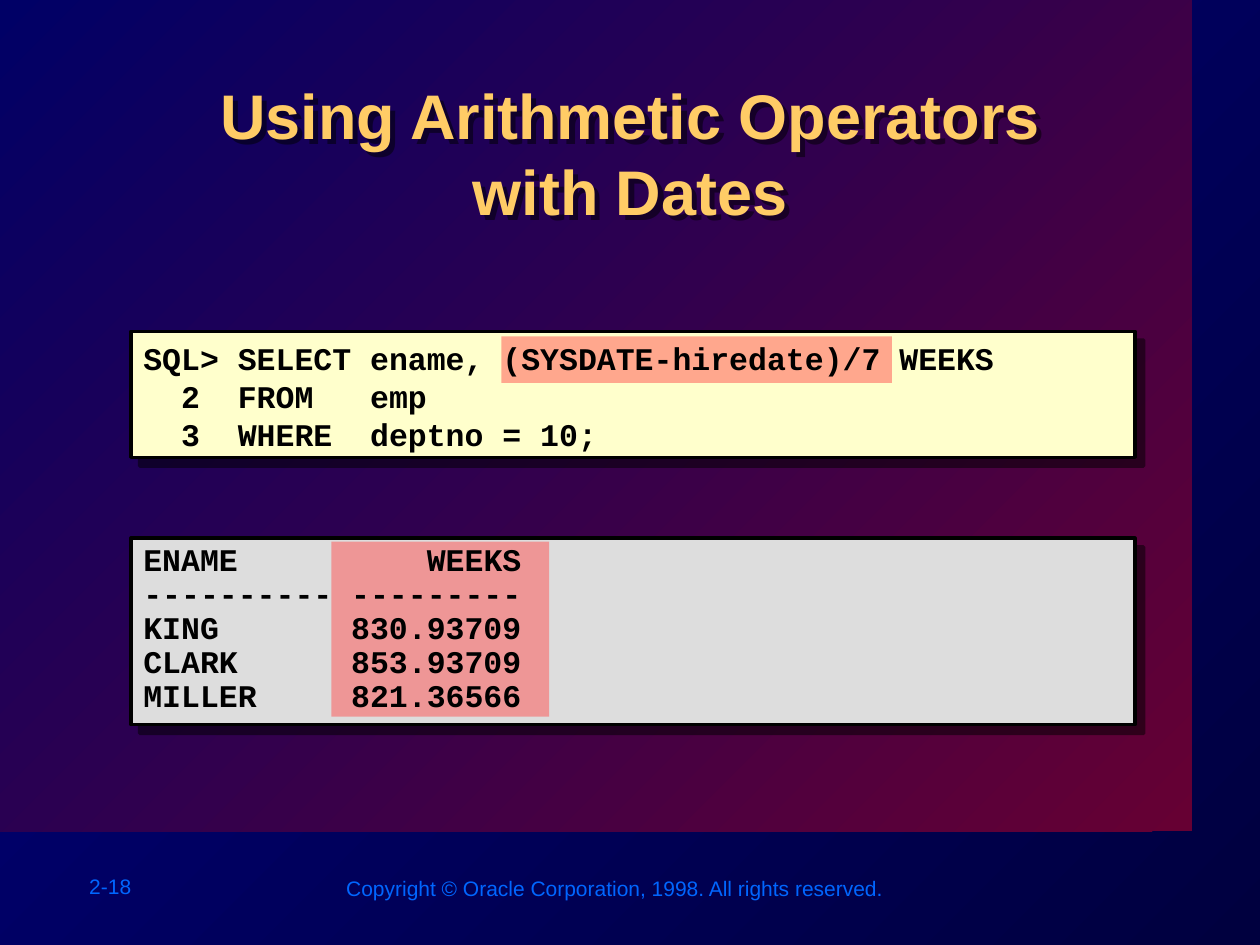
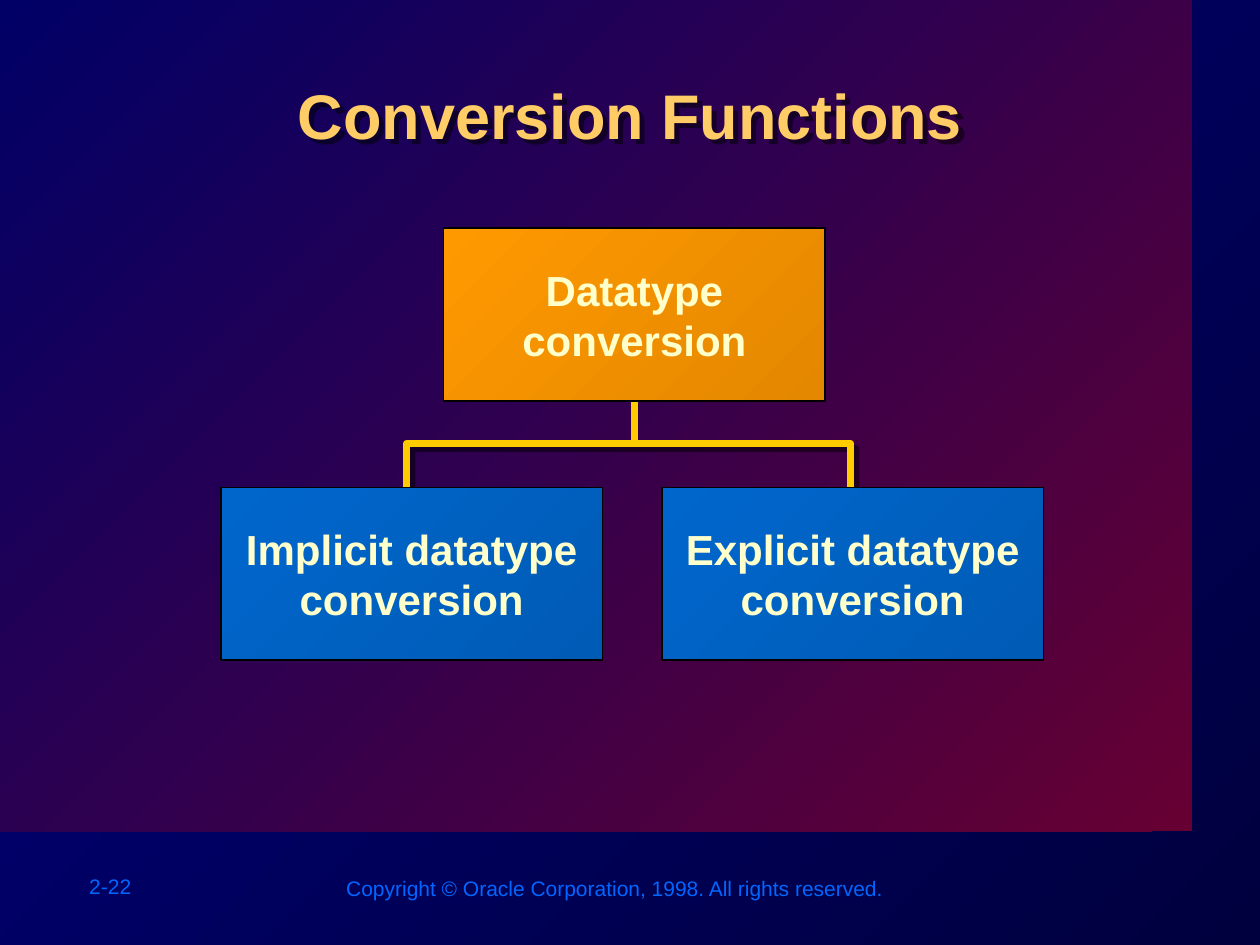
from lxml.etree import SubElement
from pptx import Presentation
from pptx.dml.color import RGBColor
from pptx.enum.shapes import MSO_CONNECTOR, MSO_SHAPE
from pptx.enum.text import MSO_ANCHOR, PP_ALIGN
from pptx.oxml.ns import qn
from pptx.util import Cm, Pt

COLOURS = {
    "black": "000000", "footer": "0066FF", "title": "FFCC66",
    "back_dark": "00003F", "back_light": "000080",
    "panel_red": "660033", "panel_blue": "000066",
    "code": "FFFFCC", "result": "DDDDDD", "highlight": "FF5050",
    "blue_dark": "005BB6", "blue": "0066CC",
    "orange_dark": "E48800", "orange": "FF9900",
    "label": "FFFFCC", "branch": "FFCC00",
}

# Text formats: font values for every span of a box
FOOTER = {"name": "Arial", "size": Pt(12), "colour": "footer"}
TITLE = {"name": "Arial", "size": Pt(36), "bold": True, "colour": "title"}
LABEL = {"name": "Arial", "size": Pt(24), "bold": True, "colour": "label"}
CODE = {"name": "Courier New", "size": Pt(18), "bold": True, "colour": "black"}

COPYRIGHT = "Copyright © Oracle Corporation, 1998. All rights reserved."
BOX_WIDTH, BOX_HEIGHT = 7.7, 3.48
LISTING_LEFT, LISTING_WIDTH = 2.64, 20.24


def rgb(name):
    return RGBColor.from_string(COLOURS[name])


def paint_gradient(fill, start, end):
    """Diagonal gradient from the bottom right to the top left."""
    fill.gradient()
    fill.gradient_angle = 135
    for stop, name in zip(fill.gradient_stops, (start, end)):
        stop.color.rgb = rgb(name)


def add_alpha(colour_element, percent):
    SubElement(colour_element, qn("a:alpha"), val=str(percent * 1000))


def add_shadow(shape, distance):
    shape.shadow.inherit = False
    effects = shape._element.spPr.find(qn("a:effectLst"))
    shadow = SubElement(effects, qn("a:outerShdw"), dist=str(Pt(distance)),
                        dir="2700000", algn="ctr", rotWithShape="0")
    colour = SubElement(shadow, qn("a:srgbClr"), val=COLOURS["black"])
    add_alpha(colour, 50)


def set_line(shape, name, width):
    shape.line.color.rgb = rgb(name)
    shape.line.width = Pt(width)


def add_rectangle(page, area, fill, border=0, shadow=0, alpha=100):
    """Rectangle filled with one colour name or a pair for a gradient."""
    box = page.shapes.add_shape(MSO_SHAPE.RECTANGLE, *map(Cm, area))
    box.shadow.inherit = False
    if isinstance(fill, tuple):
        paint_gradient(box.fill, *fill)
    else:
        box.fill.solid()
        box.fill.fore_color.rgb = rgb(fill)
    if alpha < 100:
        add_alpha(box._element.spPr.find(qn("a:solidFill"))[0], alpha)
    if border:
        set_line(box, "black", border)
    else:
        box.line.fill.background()
    if shadow:
        add_shadow(box, shadow)
    return box


def write(box, lines, style, align=PP_ALIGN.LEFT, anchor=MSO_ANCHOR.TOP,
          spacing=1.0, wrap=True, right_tab=None):
    frame = box.text_frame
    frame.word_wrap = wrap
    frame.vertical_anchor = anchor
    for index, line in enumerate(lines):
        paragraph = frame.paragraphs[0] if index == 0 else frame.add_paragraph()
        paragraph.text = line
        paragraph.alignment = align
        paragraph.line_spacing = spacing
        if right_tab:
            tabs = SubElement(paragraph._p.get_or_add_pPr(), qn("a:tabLst"))
            SubElement(tabs, qn("a:tab"), pos=str(Cm(right_tab)), algn="r")
        for span in paragraph.runs:
            for attribute, value in style.items():
                if attribute == "colour":
                    span.font.color.rgb = rgb(value)
                else:
                    setattr(span.font, attribute, value)


def add_text(page, area, lines, style, **layout):
    box = page.shapes.add_textbox(*map(Cm, area))
    write(box, lines, style, **layout)
    return box


def add_page(deck, title, number):
    """Blank page with the shared background, panel, footers and title."""
    page = deck.slides.add_slide(deck.slide_layouts[6])
    paint_gradient(page.background.fill, "back_dark", "back_light")
    add_rectangle(page, (0, 0, 24.03, 16.76), ("panel_red", "panel_blue"))
    add_text(page, (1.55, 17.48, 2.82, 0.76), [number], FOOTER)
    add_text(page, (6.73, 17.53, 11.38, 0.76), [COPYRIGHT], FOOTER, wrap=False)
    heading = add_text(page, (2.57, 1.42, 20.27, 2.44), [title], TITLE,
                       align=PP_ALIGN.CENTER)
    add_shadow(heading, 4.2)
    return page


def add_listing_panel(page, top, height, fill):
    add_rectangle(page, (LISTING_LEFT, top, LISTING_WIDTH, height), fill,
                  border=2, shadow=7.1)


def add_highlight(page, *area):
    add_rectangle(page, area, "highlight", alpha=50)


def add_label_box(page, left, top, lines, fill):
    box = add_rectangle(page, (left, top, BOX_WIDTH, BOX_HEIGHT), fill, border=1)
    write(box, lines, LABEL, align=PP_ALIGN.CENTER, anchor=MSO_ANCHOR.MIDDLE)


def add_trunk(page, x, top, bottom):
    trunk = page.shapes.add_connector(
        MSO_CONNECTOR.STRAIGHT, *map(Cm, (x, bottom, x, top)))
    set_line(trunk, "branch", 4)
    SubElement(trunk._element.spPr, qn("a:effectLst"))


def add_bracket(page, points):
    start, *rest = [(Cm(x), Cm(y)) for x, y in points]
    builder = page.shapes.build_freeform(*start)
    builder.add_line_segments(rest, close=False)
    bracket = builder.convert_to_shape()
    bracket.fill.background()
    set_line(bracket, "branch", 4)
    add_shadow(bracket, 4.2)


def build_dates(deck):
    page = add_page(deck, "Using Arithmetic Operators\vwith Dates", "2-18")
    add_listing_panel(page, 6.68, 2.54, "code")
    add_listing_panel(page, 10.85, 3.76, "result")
    add_highlight(page, 10.11, 6.78, 7.87, 0.94)
    add_highlight(page, 6.68, 10.92, 4.39, 3.53)

    # Query
    query = ["SQL> SELECT ename, (SYSDATE-hiredate)/7 WEEKS",
             "  2  FROM   emp",
             "  3  WHERE  deptno = 10;"]
    add_text(page, (LISTING_LEFT, 5.99, 20.32, 3.99), query, CODE,
             anchor=MSO_ANCHOR.MIDDLE)

    # Query result, with the numbers aligned right
    result = ["ENAME\tWEEKS", "----------\t---------", "KING\t830.93709",
              "CLARK\t853.93709", "MILLER\t821.36566"]
    add_text(page, (LISTING_LEFT, 10.85, LISTING_WIDTH, 3.68), result, CODE,
             spacing=0.9, right_tab=7.62)


def build_conversion(deck):
    page = add_page(deck, "Conversion Functions", "2-22")

    # Branches, drawn behind the boxes
    add_trunk(page, 12.8, 7.32, 8.94)
    add_bracket(page, [(8.2, 10.54), (8.2, 8.94), (17.15, 8.94), (17.15, 10.26)])

    # Boxes
    for left, kind in ((4.45, "Implicit"), (13.34, "Explicit")):
        add_label_box(page, left, 9.83, [f"{kind} datatype", "conversion"],
                      ("blue_dark", "blue"))
    add_label_box(page, 8.94, 4.6, ["Datatype", "conversion"],
                  ("orange_dark", "orange"))


def main():
    deck = Presentation()
    deck.slide_width, deck.slide_height = Cm(25.4), Cm(19.05)
    build_dates(deck)
    build_conversion(deck)
    deck.save("out.pptx")


if __name__ == "__main__":
    main()
